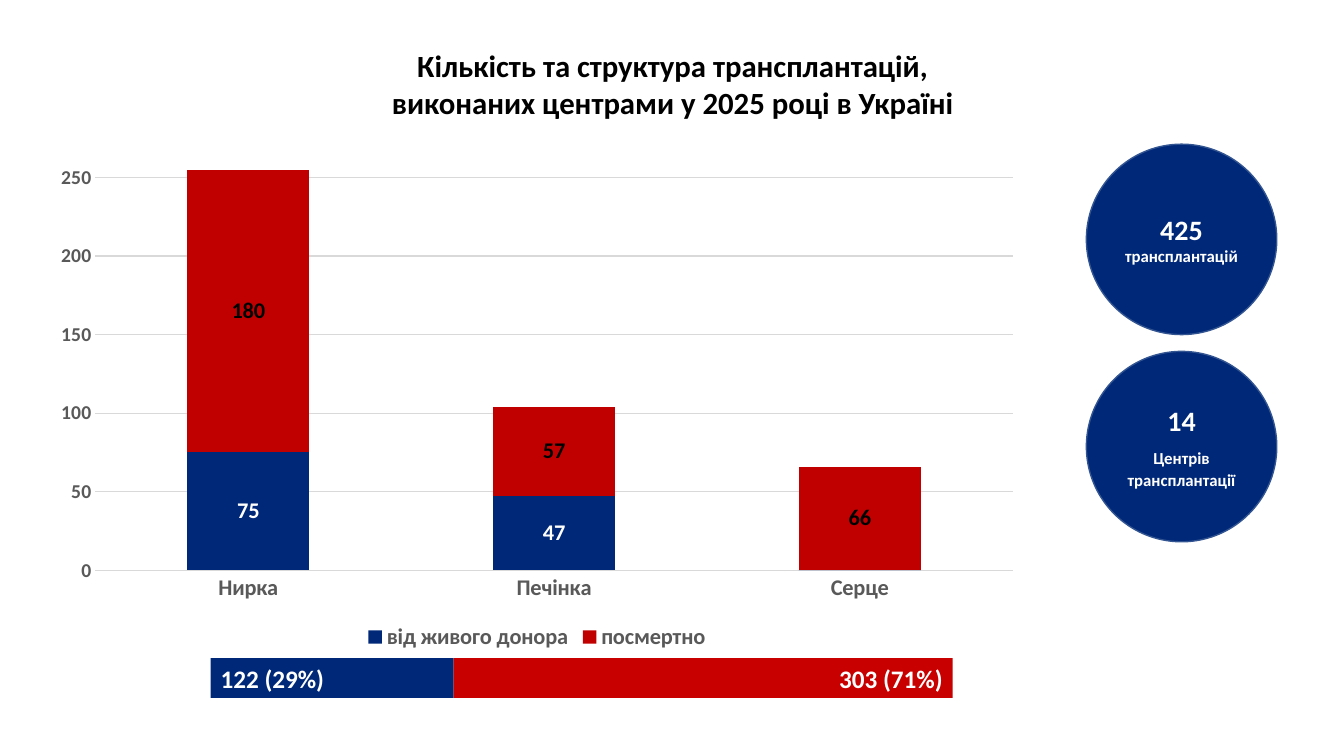
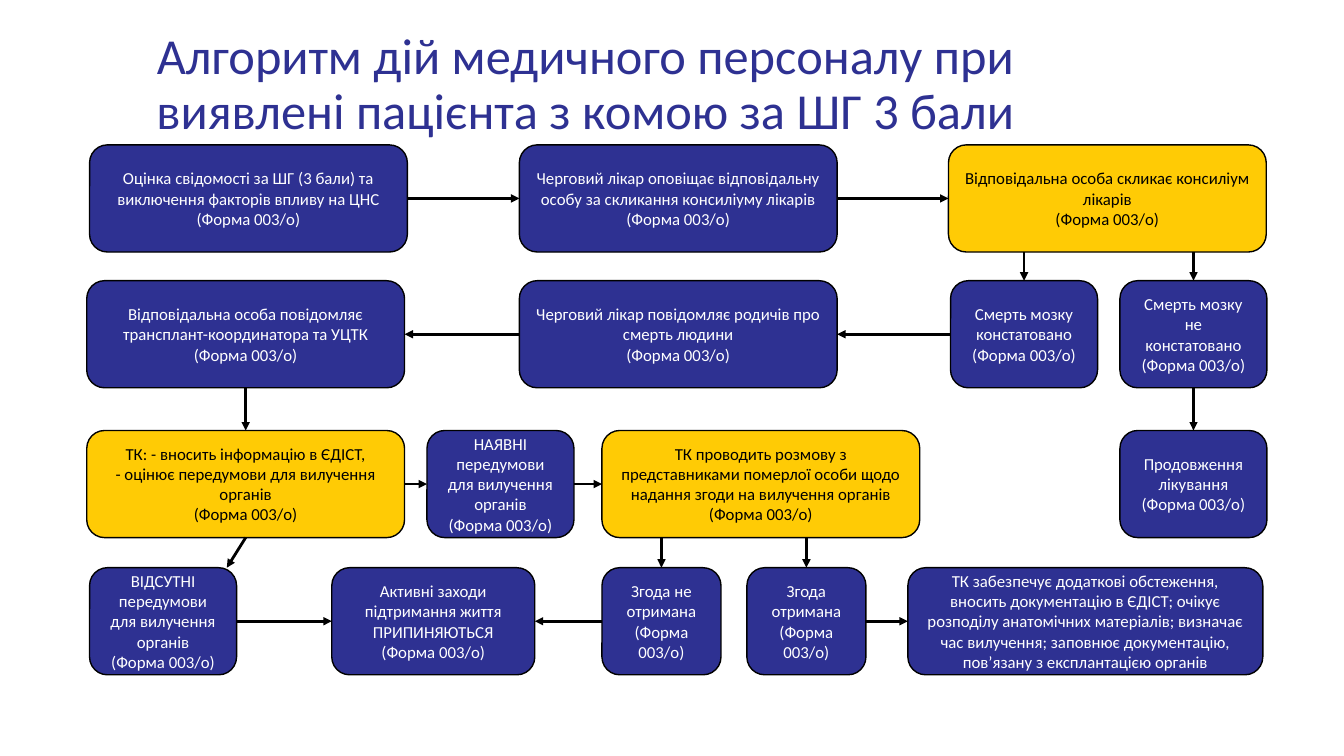
import dataclasses
import typing

import pptx
import pptx.chart.data
import pptx.dml.color
import pptx.enum.chart
import pptx.enum.shapes
import pptx.enum.text
import pptx.oxml.ns
import pptx.oxml.xmlchemy
import pptx.util

Pt = pptx.util.Pt
Kind = pptx.enum.shapes.MSO_SHAPE
Align = pptx.enum.text.PP_ALIGN
FONT = "Calibri"
HEX = {
    "white": "FFFFFF", "black": "000000", "grey": "595959", "grid": "D9D9D9",
    "navy": "002878", "edge": "325491", "red": "C80000", "brick": "C00000",
    "blue": "2E3192", "gold": "FFCB05",
}

# Flow chart grid, in points
ROWS = (103.5, 200.5, 307.5, 405.5)
HIGH = 76.5
WIDE, SLIM, TINY = 227, 105, 85
FORM = "\n(Форма 003/о)"


@dataclasses.dataclass
class Box:
    """A flow chart step."""
    row: int
    left: float
    width: float
    text: str
    fill: str = "blue"


@dataclasses.dataclass
class Link:
    """An arrow between two steps; end is a free x on the target's top edge."""
    start: str
    goal: str
    way: str
    end: typing.Optional[float] = None


@dataclasses.dataclass
class Disc:
    """A key figure in a circle."""
    top: float
    text: str
    gap: float = 0
    pitch: float = 1.0


@dataclasses.dataclass
class Bar:
    """A part of the total."""
    left: float
    width: float
    text: str
    fill: str
    align: Align


@dataclasses.dataclass
class Series:
    """A stacked part of the columns."""
    name: str
    vals: tuple
    fill: str
    ink: str


DISCS = (
    Disc(103, "425\nтрансплантацій"),
    Disc(251, "14\nЦентрів трансплантації", 6, 1.12),
)
BARS = (
    Bar(150.5, 173.5, "122 (29%)", "navy", Align.LEFT),
    Bar(324, 356.5, "303 (71%)", "red", Align.RIGHT),
)
ORGANS = ("Нирка", "Печінка", "Серце")
SERIES = (
    Series("від живого донора", (75, 47, 0), "navy", "white"),
    Series("посмертно", (180, 57, 66), "brick", "black"),
)
STEPS = {
    "check": Box(0, 64, WIDE, "Оцінка свідомості за ШГ (3 бали) та виключення "
                 "факторів впливу на ЦНС" + FORM),
    "alert": Box(0, 371, WIDE, "Черговий лікар оповіщає відповідальну особу за "
                 "скликання консиліуму лікарів" + FORM),
    "panel": Box(0, 677.5, WIDE, "Відповідальна особа скликає консиліум лікарів"
                 + FORM, "gold"),
    "tell": Box(1, 62, WIDE, "Відповідальна особа повідомляє "
                "трансплант-координатора та УЦТК" + FORM),
    "kin": Box(1, 371, WIDE, "Черговий лікар повідомляє родичів про смерть людини"
               + FORM),
    "death": Box(1, 679, SLIM, "Смерть мозку констатовано" + FORM),
    "life": Box(1, 800, SLIM, "Смерть мозку не констатовано" + FORM),
    "enter": Box(2, 62, WIDE, "ТК: - вносить інформацію в ЄДІСТ,\n"
                 "- оцінює передумови для вилучення органів" + FORM, "gold"),
    "fit": Box(2, 305, SLIM, "НАЯВНІ передумови для вилучення органів" + FORM),
    "talk": Box(2, 430, WIDE, "ТК проводить розмову з представниками померлої "
                "особи щодо надання згоди на вилучення органів" + FORM, "gold"),
    "treat": Box(2, 800, SLIM, "Продовження лікування" + FORM),
    "unfit": Box(3, 64, SLIM, "ВІДСУТНІ передумови для вилучення органів" + FORM),
    "stop": Box(3, 237, 145, "Активні заходи підтримання життя ПРИПИНЯЮТЬСЯ"
                + FORM),
    "no": Box(3, 430, TINY, "Згода не отримана" + FORM),
    "yes": Box(3, 533.5, TINY, "Згода отримана" + FORM),
    "plan": Box(3, 648.5, 253.5, "ТК забезпечує додаткові обстеження, вносить "
                "документацію в ЄДІСТ; очікує розподілу анатомічних матеріалів; "
                "визначає час вилучення; заповнює документацію, пов’язану з "
                "експлантацією органів"),
}
LINKS = (
    Link("check", "alert", "right"), Link("alert", "panel", "right"),
    Link("panel", "life", "down"), Link("panel", "death", "down"),
    Link("life", "treat", "down"), Link("death", "kin", "left"),
    Link("kin", "tell", "left"), Link("tell", "enter", "down"),
    Link("enter", "unfit", "down", 162), Link("enter", "fit", "right"),
    Link("fit", "talk", "right"), Link("unfit", "stop", "right"),
    Link("no", "stop", "left"), Link("talk", "no", "down"),
    Link("talk", "yes", "down"), Link("yes", "plan", "right"),
)
# Connection sites: 0 top, 1 left, 2 bottom, 3 right
SITES = {"right": (3, 1), "left": (1, 3), "down": (2, 0)}


def tint(name: str) -> pptx.dml.color.RGBColor:
    return pptx.dml.color.RGBColor.from_string(HEX[name])


def ink(font, size: float, name: str, bold: bool = False) -> None:
    font.name, font.size, font.bold = FONT, Pt(size), bold
    font.color.rgb = tint(name)


def style(frame, size: float, name: str, bold: bool = False,
          align: Align = Align.CENTER, pitch: float = 1.0) -> None:
    frame.word_wrap = True
    frame.vertical_anchor = pptx.enum.text.MSO_ANCHOR.MIDDLE
    for para in frame.paragraphs:
        para.alignment, para.line_spacing = align, pitch
        for run in para.runs:
            ink(run.font, size, name, bold)


def place(slide, kind: Kind, rect: tuple, fill: str, edge: str = ""):
    shape = slide.shapes.add_shape(kind, *map(Pt, rect))
    shape.shadow.inherit = False
    shape.fill.solid()
    shape.fill.fore_color.rgb = tint(fill)
    if edge:
        shape.line.color.rgb, shape.line.width = tint(edge), Pt(1)
    else:
        shape.line.fill.background()
    return shape


def head(slide, text: str, rect: tuple, size: float, name: str,
         bold: bool, pitch: float) -> None:
    title = slide.shapes.title
    title.left, title.top, title.width, title.height = map(Pt, rect)
    title.text_frame.text = text
    title.text_frame.auto_size = pptx.enum.text.MSO_AUTO_SIZE.NONE
    style(title.text_frame, size, name, bold, pitch=pitch)


def graph(slide) -> None:
    data = pptx.chart.data.CategoryChartData()
    data.categories = ORGANS
    for item in SERIES:
        data.add_series(item.name, item.vals)
    chart = slide.shapes.add_chart(
        pptx.enum.chart.XL_CHART_TYPE.COLUMN_STACKED,
        Pt(29.5), Pt(111), Pt(708), Pt(357), data).chart
    chart.has_title = False
    ink(chart.font, 10, "black")
    chart.has_legend = True
    chart.legend.position = pptx.enum.chart.XL_LEGEND_POSITION.BOTTOM
    chart.legend.include_in_layout = False
    ink(chart.legend.font, 16, "grey", True)

    # Axes
    for axis, size in ((chart.category_axis, 16), (chart.value_axis, 14)):
        axis.major_tick_mark = pptx.enum.chart.XL_TICK_MARK.NONE
        ink(axis.tick_labels.font, size, "grey", True)
    scale = chart.value_axis
    scale.minimum_scale, scale.maximum_scale, scale.major_unit = 0, 255, 50
    scale.format.line.fill.background()
    for line in (chart.category_axis.format.line, scale.major_gridlines.format.line):
        line.color.rgb, line.width = tint("grid"), Pt(0.75)

    # Columns; the number format hides zero labels
    plot = chart.plots[0]
    plot.gap_width, plot.overlap, plot.vary_by_categories = 150, 100, False
    for item, col in zip(SERIES, plot.series):
        col.format.fill.solid()
        col.format.fill.fore_color.rgb = tint(item.fill)
        marks = col.data_labels
        marks.show_value = True
        marks.number_format, marks.number_format_is_linked = "0;;", False
        ink(marks.font, 16, item.ink, True)


def disc(slide, item: Disc) -> None:
    shape = place(slide, Kind.OVAL, (776, item.top, 136, 136), "navy", "edge")
    frame = shape.text_frame
    frame.margin_left = frame.margin_right = Pt(5)
    frame.text = item.text
    style(frame, 12, "white", True)
    count, label = frame.paragraphs
    count.runs[0].font.size = Pt(20)
    label.space_before, label.line_spacing = Pt(item.gap), item.pitch


def bar(slide, item: Bar) -> None:
    shape = place(slide, Kind.RECTANGLE, (item.left, 470, item.width, 28.5), item.fill)
    shape.text_frame.text = item.text
    style(shape.text_frame, 18, "white", True, item.align)


def step(slide, box: Box):
    rect = (box.left, ROWS[box.row], box.width, HIGH)
    shape = place(slide, Kind.ROUNDED_RECTANGLE, rect, box.fill, "black")
    shape.text_frame.text = box.text
    style(shape.text_frame, 12, "black" if box.fill == "gold" else "white")
    return shape


def join(slide, link: Link, shapes: dict) -> None:
    start, goal = shapes[link.start], shapes[link.goal]
    mid = goal.left + goal.width // 2
    tip = mid if link.end is None else Pt(link.end)
    arrow = slide.shapes.add_connector(
        pptx.enum.shapes.MSO_CONNECTOR.STRAIGHT,
        mid, start.top + start.height, tip, goal.top)
    out, into = SITES[link.way]
    # Branches leave the lower edge right above their target
    branch = link.way == "down" and start.width != goal.width
    if not branch or link.end is not None:
        arrow.begin_connect(start, out)
    if link.end is None:
        arrow.end_connect(goal, into)
    arrow.line.color.rgb, arrow.line.width = tint("black"), Pt(2)
    props = arrow._element.spPr
    tail = pptx.oxml.xmlchemy.OxmlElement("a:tailEnd")
    tail.set("type", "triangle")
    props.find(pptx.oxml.ns.qn("a:ln")).append(tail)
    props.append(pptx.oxml.xmlchemy.OxmlElement("a:effectLst"))


def main() -> None:
    deck = pptx.Presentation()
    deck.slide_width, deck.slide_height = Pt(960), Pt(540)
    plain = deck.slide_layouts.get_by_name("Title Only")

    # Transplant figures
    slide = deck.slides.add_slide(plain)
    head(slide, "Кількість та структура трансплантацій,\n"
         "виконаних центрами у 2025 році в Україні",
         (185, 29.5, 591, 60.5), 22, "black", True, 1.0)
    graph(slide)
    for item in DISCS:
        disc(slide, item)
    for item in BARS:
        bar(slide, item)

    # Flow chart
    slide = deck.slides.add_slide(plain)
    head(slide, "Алгоритм дій медичного персоналу при виявлені пацієнта "
         "з комою за ШГ 3 бали", (64, 26, 708.5, 70.5), 36, "blue", False, 0.9)
    shapes = {key: step(slide, box) for key, box in STEPS.items()}
    for link in LINKS:
        join(slide, link, shapes)

    deck.save("out.pptx")


if __name__ == "__main__":
    main()
